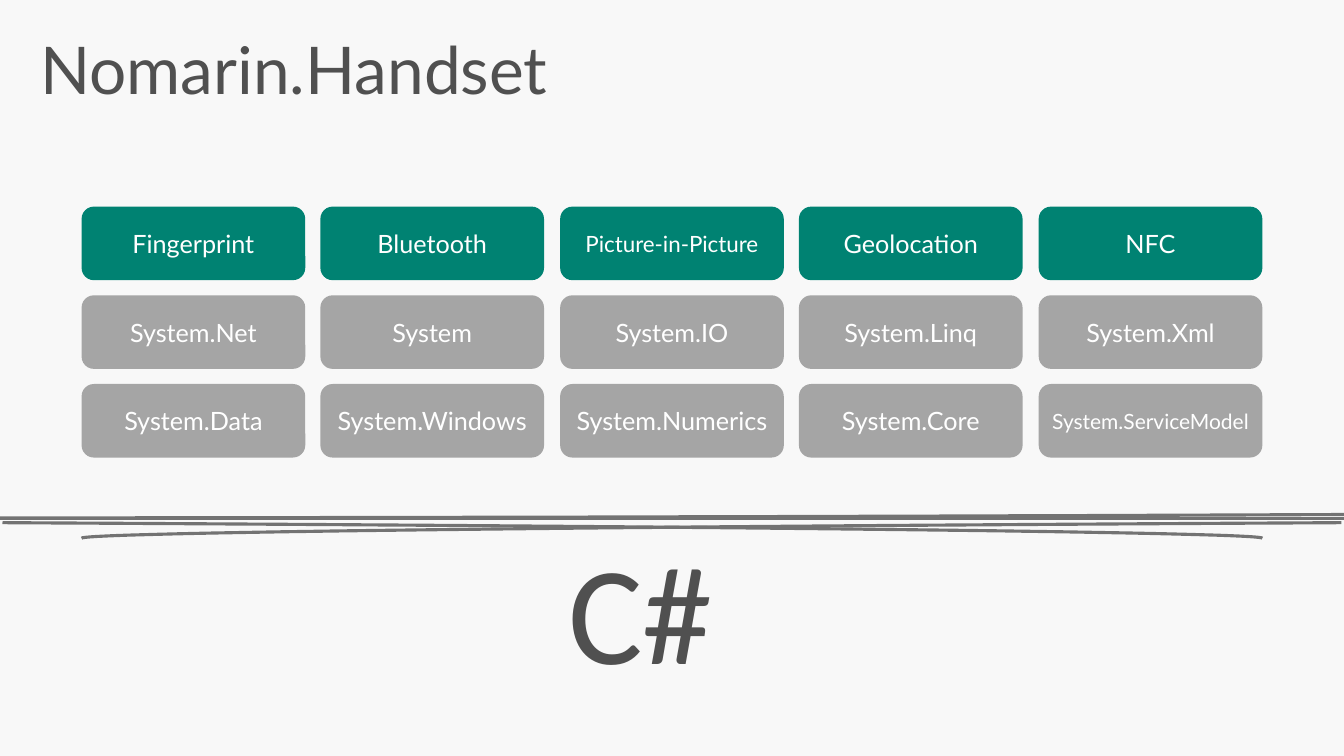
import pptx
import pptx.util
import pptx.dml.color
import pptx.enum.shapes
import pptx.enum.text

PX = 9144  # 100 px to the inch
WIDE, HIGH = 1334, 750
COLORS = {"back": "F8F8F8", "text": "505050", "teal": "008272",
          "gray": "A5A5A5", "line": "737373", "white": "FFFFFF"}
LEFT, TOP, SPAN = 81, 205, 950
ROWS = [
    ("teal", ["Fingerprint", "Bluetooth", "Picture-in-Picture", "Geolocation", "NFC"]),
    ("gray", ["System.Net", "System", "System.IO", "System.Linq", "System.Xml"]),
    ("gray", ["System.Data", "System.Windows", "System.Numerics", "System.Core",
              "System.ServiceModel"]),
]
SMALL = {"Picture-in-Picture": 16, "System.ServiceModel": 15}


def style(para, size, face, color):
    para.font.size = pptx.util.Pt(size)
    para.font.name = face
    para.font.color.rgb = pptx.dml.color.RGBColor.from_string(COLORS[color])


def arc(left, top, way, start, stop):
    """Points in EMU on a long flat curve; way is its x and y direction."""
    points = []
    for step in range(41):
        t = start + (stop - start) * step / 40
        run = 1536 * (3 * t ** 2 - t ** 3)
        rise = 20 * (1 - (1 - t) ** 2 * (1 + t / 2))
        points.append((round((left + way[0] * run) * PX),
                       round((top + way[1] * rise) * PX)))
    return points


deck = pptx.Presentation()
deck.slide_width, deck.slide_height = WIDE * PX, HIGH * PX
slide = deck.slides.add_slide(deck.slide_layouts[5])
slide.background.fill.solid()
slide.background.fill.fore_color.rgb = pptx.dml.color.RGBColor.from_string(COLORS["back"])

title = slide.shapes.title
title.left, title.top, title.width, title.height = 30 * PX, 32 * PX, 1275 * PX, 98 * PX
frame = title.text_frame
frame.text = "Nomarin.Handset"
frame.auto_size = pptx.enum.text.MSO_AUTO_SIZE.NONE
frame.vertical_anchor = pptx.enum.text.MSO_ANCHOR.TOP
para = frame.paragraphs[0]
para.alignment = pptx.enum.text.PP_ALIGN.LEFT
para.line_spacing = 0.9
style(para, 47, "Lato", "text")

for row, (color, names) in enumerate(ROWS):
    for col, name in enumerate(names):
        tile = slide.shapes.add_shape(
            pptx.enum.shapes.MSO_SHAPE.ROUNDED_RECTANGLE,
            (LEFT + SPAN * col // 4) * PX, (TOP + 88 * row) * PX, 222 * PX, 73 * PX)
        tile.shadow.inherit = False
        tile.fill.solid()
        tile.fill.fore_color.rgb = pptx.dml.color.RGBColor.from_string(COLORS[color])
        tile.line.fill.background()
        frame = tile.text_frame
        frame.word_wrap = True
        frame.margin_left = frame.margin_right = 5 * PX
        frame.vertical_anchor = pptx.enum.text.MSO_ANCHOR.MIDDLE
        frame.text = name
        para = frame.paragraphs[0]
        para.alignment = pptx.enum.text.PP_ALIGN.CENTER
        style(para, SMALL.get(name, 18), "Lato", "white")

# The flat brace is three arcs and one straight line, cut at the slide edges
strokes = [
    arc(81, 534, (1, -1), 0, 0.58),
    arc(1253, 534, (-1, -1), 0, 0.58),
    arc(2791, 494, (-1, 1), 0.633, 0.939),
    [(0, 514 * PX), (WIDE * PX, 514 * PX)],
]
pen = slide.shapes.build_freeform(*strokes[0][0])
for stroke in strokes:
    pen.move_to(*stroke[0])
    pen.add_line_segments(stroke[1:], close=False)
brace = pen.convert_to_shape()
brace.shadow.inherit = False
brace.fill.background()
brace.line.width = pptx.util.Pt(2.25)
brace.line.color.rgb = pptx.dml.color.RGBColor.from_string(COLORS["line"])

label = slide.shapes.add_textbox(554 * PX, 534 * PX, 197 * PX, 160 * PX)
frame = label.text_frame
frame.word_wrap = False
frame.text = "C#"
para = frame.paragraphs[0]
para.line_spacing = 0.9
style(para, 100, "Calibri", "text")

deck.save("out.pptx")
